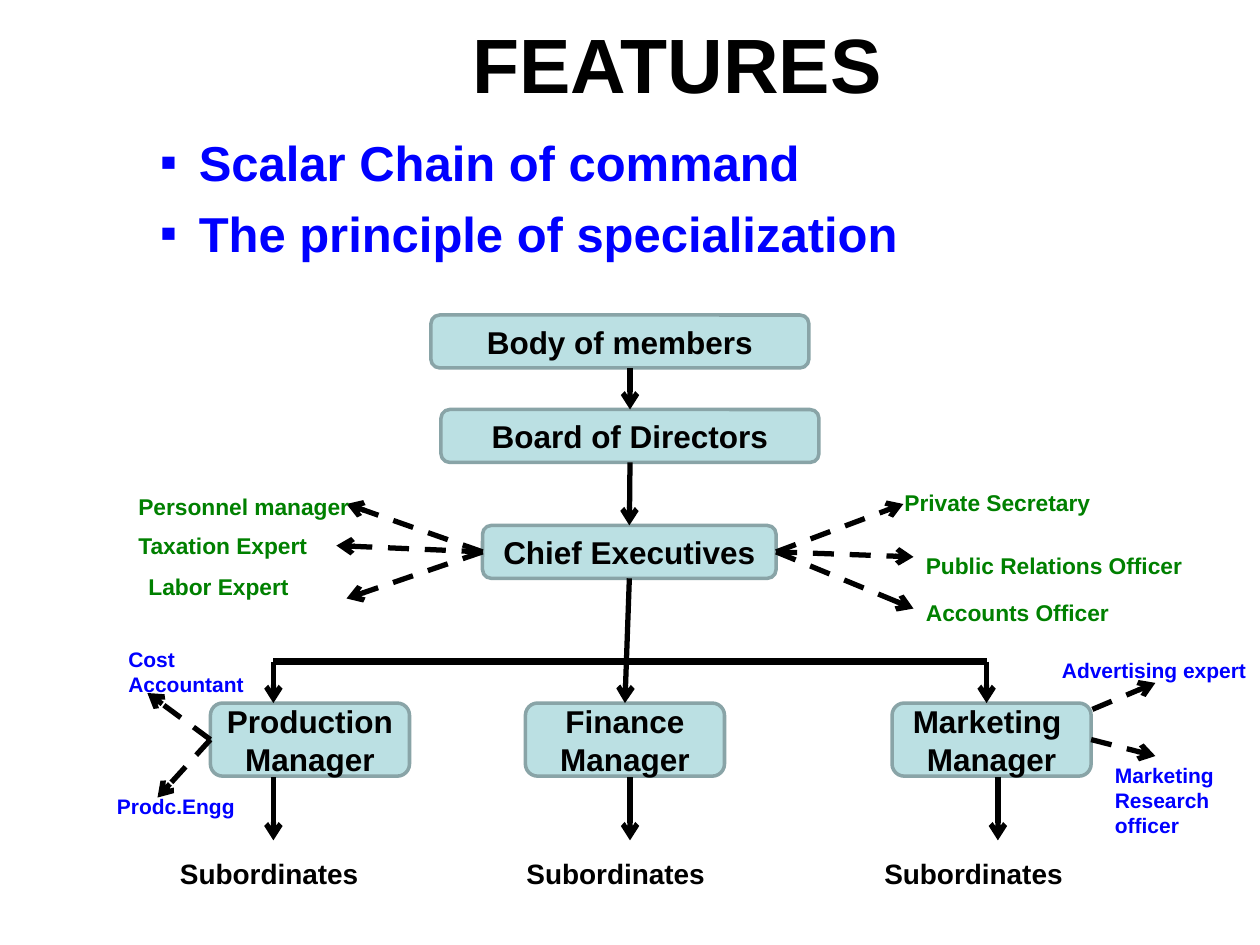
import pptx
import pptx.dml.color
import pptx.enum.dml
import pptx.enum.shapes
import pptx.enum.text
import pptx.oxml.ns
import pptx.util
from lxml import etree
from pptx.util import Inches

BLACK, BLUE, GREEN = "000000", "0000FF", "008000"
BOX_FILL, BOX_LINE = "BBE0E3", "89A4A7"
TOP, LEFT, BOTTOM, RIGHT = range(4)
CENTER = pptx.enum.text.PP_ALIGN.CENTER
MIDDLE = pptx.enum.text.MSO_ANCHOR.MIDDLE


def color(hex_code):
    """Turn a hex string into a colour."""
    return pptx.dml.color.RGBColor.from_string(hex_code)


def add_xml(parent, tag, **attributes):
    """Append a DrawingML element to a parent element."""
    return etree.SubElement(parent, pptx.oxml.ns.qn(tag), attributes)


def write(frame, lines, size, hex_code, align=None):
    """Write bold Arial lines as paragraphs of a text frame."""
    frame.word_wrap = True
    for index, line in enumerate(lines):
        paragraph = frame.paragraphs[0] if index == 0 else frame.add_paragraph()
        paragraph.alignment = align
        run = paragraph.add_run()
        run.text = line
        run.font.name = "Arial"
        run.font.size = pptx.util.Pt(size)
        run.font.bold = True
        run.font.color.rgb = color(hex_code)


def add_title(slide, title):
    """Add the centred slide title."""
    frame = slide.shapes.add_textbox(
        Inches(1.25), Inches(0.17), Inches(8.25), Inches(0.65)).text_frame
    frame.vertical_anchor = MIDDLE
    write(frame, [title], 44, BLACK, CENTER)


def add_bullets(slide, features):
    """Add the list of features with square bullets."""
    frame = slide.shapes.add_textbox(
        Inches(0.67), Inches(1), Inches(9.33), Inches(1.3)).text_frame
    write(frame, features, 28, BLUE)
    for paragraph in frame.paragraphs:
        paragraph.space_before = pptx.util.Pt(7)
        properties = paragraph._p.get_or_add_pPr()
        properties.set("marL", str(Inches(0.81)))
        properties.set("indent", str(Inches(-0.31)))
        add_xml(add_xml(properties, "a:buClr"), "a:srgbClr", val=BLUE)
        add_xml(properties, "a:buFont", typeface="Arial")
        add_xml(properties, "a:buChar", char="▪")


def add_position(slide, lines, left, top, width, height=0.42):
    """Add a rounded box for a position in the hierarchy."""
    box = slide.shapes.add_shape(
        pptx.enum.shapes.MSO_SHAPE.ROUNDED_RECTANGLE,
        Inches(left), Inches(top), Inches(width), Inches(height))
    box.shadow.inherit = False
    box.fill.solid()
    box.fill.fore_color.rgb = color(BOX_FILL)
    box.line.color.rgb = color(BOX_LINE)
    box.line.width = pptx.util.Pt(2)
    box.text_frame.vertical_anchor = MIDDLE
    write(box.text_frame, lines, 18, BLACK, CENTER)
    return box


def add_label(slide, caption, left, top, width, height, size, hex_code):
    """Add a plain caption."""
    frame = slide.shapes.add_textbox(
        Inches(left), Inches(top), Inches(width), Inches(height)).text_frame
    write(frame, [caption], size, hex_code)
    frame.auto_size = pptx.enum.text.MSO_AUTO_SIZE.SHAPE_TO_FIT_TEXT


def add_link(slide, start, end, source=None, target=None,
             dashed=False, weight=3, arrow=True):
    """Draw a line between points, joined to (box, side) pairs if given."""
    link = slide.shapes.add_connector(
        pptx.enum.shapes.MSO_CONNECTOR.STRAIGHT,
        *(Inches(value) for value in (*start, *end)))
    if source:
        link.begin_connect(*source)
    if target:
        link.end_connect(*target)
    link.line.color.rgb = color(BLACK)
    link.line.width = pptx.util.Pt(weight)
    if dashed:
        link.line.dash_style = pptx.enum.dml.MSO_LINE.DASH
    if arrow:
        add_xml(link.line._get_or_add_ln(), "a:tailEnd", type="arrow")
    add_xml(link._element.spPr, "a:effectLst")


def add_chain(slide):
    """Add the scalar chain from the members down to the subordinates."""
    add_position(slide, ["Body of members"], 3.42, 2.5, 3)
    board = add_position(slide, ["Board of Directors"], 3.5, 3.25, 3)
    chief = add_position(slide, ["Chief Executives"], 3.83, 4.17, 2.33)
    add_link(slide, (5, 2.92), (5, 3.25), target=(board, TOP))
    add_link(slide, (5, 3.67), (5, 4.17), (board, BOTTOM), (chief, TOP))

    production, finance, marketing = (
        add_position(slide, lines, left, 5.58, 1.58, 0.58)
        for lines, left in ((["Production ", "Manager"], 1.67),
                            (["Finance Manager"], 4.17),
                            (["Marketing ", "Manager"], 7.08)))
    add_link(slide, (5, 4.58), (4.96, 5.58), (chief, BOTTOM), (finance, TOP))
    add_link(slide, (2.17, 5.25), (7.83, 5.25), weight=4.5, arrow=False)
    for x in (2.17, 7.83):
        add_link(slide, (x, 5.25), (x, 5.58))
    for x, label_left in ((2.17, 1.33), (5, 4.08), (7.92, 6.92)):
        add_link(slide, (x, 6.17), (x, 6.67))
        add_label(slide, "Subordinates", label_left, 6.75, 1.92, 0.37, 16, BLACK)
    return chief, production, marketing


def add_specialists(slide, chief, production, marketing):
    """Add the specialists around the chief and the managers."""
    for side, start, tip in (
            (LEFT, (3.83, 4.38), (2.75, 4)),
            (LEFT, (3.83, 4.38), (2.67, 4.33)),
            (LEFT, (3.83, 4.38), (2.75, 4.75)),
            (RIGHT, (6.17, 4.38), (7.17, 4)),
            (RIGHT, (6.17, 4.38), (7.25, 4.42)),
            (RIGHT, (6.17, 4.38), (7.25, 4.83))):
        add_link(slide, start, tip, (chief, side), dashed=True)
    for caption, left, top, width in (
            ("Personnel manager", 1, 3.86, 1.92),
            ("Taxation Expert", 1, 4.17, 1.92),
            ("Labor Expert", 1.08, 4.5, 1.92),
            ("Private Secretary", 7.08, 3.83, 1.92),
            ("Public Relations Officer", 7.25, 4.33, 2.42),
            ("Accounts Officer", 7.25, 4.7, 1.92)):
        add_label(slide, caption, left, top, width, 0.32, 13, GREEN)

    for start, tip, source in (
            ((8.67, 5.63), (9.17, 5.42), None),
            ((8.67, 5.87), (9.17, 6), (marketing, RIGHT)),
            ((1.67, 5.88), (1.17, 5.5), (production, LEFT)),
            ((1.67, 5.88), (1.25, 6.33), (production, LEFT))):
        add_link(slide, start, tip, source, dashed=True)
    for caption, left, top, width, height in (
            ("Advertising expert", 8.33, 5.17, 1.67, 0.3),
            ("Marketing Research officer", 8.75, 6, 1.33, 0.7),
            ("Cost Accountant", 0.92, 5.08, 1.17, 0.5),
            ("Prodc.Engg", 0.83, 6.25, 1.25, 0.3)):
        add_label(slide, caption, left, top, width, height, 12, BLUE)


def main():
    """Build the slide and save it."""
    deck = pptx.Presentation()
    deck.slide_width, deck.slide_height = Inches(10), Inches(7.5)
    slide = deck.slides.add_slide(deck.slide_layouts[6])
    add_title(slide, "FEATURES")
    add_bullets(slide, ["Scalar Chain of command",
                        "The principle of specialization"])
    add_specialists(slide, *add_chain(slide))
    deck.save("out.pptx")


if __name__ == "__main__":
    main()
